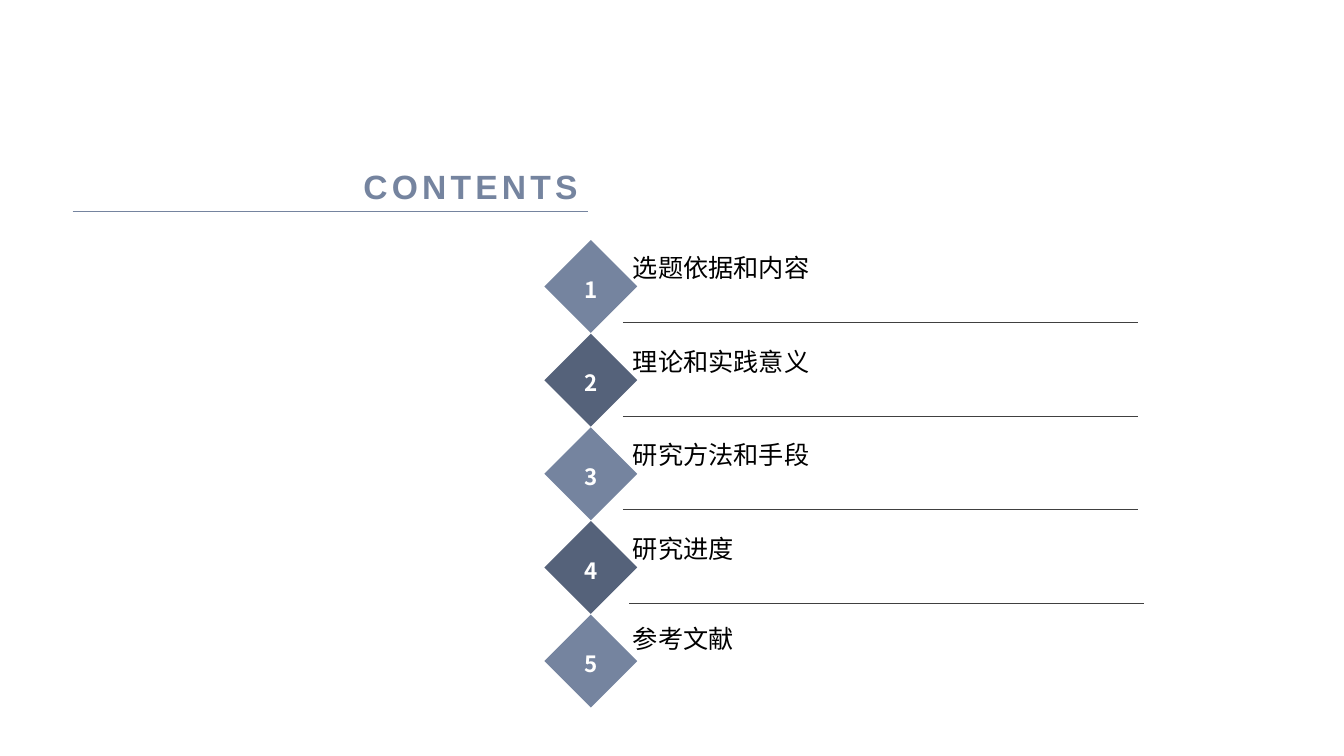
from lxml.etree import SubElement
from pptx import Presentation
from pptx.dml.color import RGBColor
from pptx.enum.shapes import MSO_CONNECTOR, MSO_SHAPE
from pptx.enum.text import MSO_ANCHOR, MSO_AUTO_SIZE, PP_ALIGN
from pptx.oxml.ns import qn
from pptx.util import Cm, Pt

SLATE = RGBColor(0x75, 0x84, 0x9F)
NAVY = RGBColor(0x55, 0x62, 0x7A)
CHARCOAL = RGBColor(0x40, 0x40, 0x40)
BLACK = RGBColor(0, 0, 0)
WHITE = RGBColor(0xFF, 0xFF, 0xFF)

TOPICS = ["选题依据和内容", "理论和实践意义", "研究方法和手段", "研究进度", "参考文献"]
ROW_PITCH = 2.36
DIAMOND_SIZE = 2.34
RULE_LENGTH = 12.97
LABEL_INDENT = 1.98


def write_text(shape, text, size, color, font, bold=False,
               align=PP_ALIGN.LEFT, anchor=MSO_ANCHOR.MIDDLE):
    """Fill a shape with one formatted line and return its span."""
    frame = shape.text_frame
    frame.text = text
    frame.word_wrap = True
    frame.auto_size = MSO_AUTO_SIZE.NONE
    frame.vertical_anchor = anchor
    para = frame.paragraphs[0]
    para.alignment = align
    para.line_spacing = 1.2
    span = para.runs[0]
    span.font.size = Pt(size)
    span.font.bold = bold
    span.font.name = font
    span.font.color.rgb = color
    return span


def add_rule(page, left, top, length, color):
    """Draw a horizontal hairline."""
    rule = page.shapes.add_connector(
        MSO_CONNECTOR.STRAIGHT, Cm(left), Cm(top), Cm(left + length), Cm(top))
    rule.line.color.rgb = color
    rule.line.width = Pt(0.25)
    SubElement(rule._element.spPr, qn("a:effectLst"))


def add_heading(page, left, top, width, height):
    """Place the underlined slide title."""
    title = page.shapes.title
    title.left, title.top = Cm(left), Cm(top)
    title.width, title.height = Cm(width), Cm(height)
    span = write_text(title, "CONTENTS", 24, SLATE, "Arial", True,
                      PP_ALIGN.RIGHT, MSO_ANCHOR.BOTTOM)
    span._r.get_or_add_rPr().set("spc", "300")
    add_rule(page, left, top + height, width, SLATE)


def add_topic(page, left, top, number, topic, label_rise=0.2):
    """Place a numbered diamond with its topic beside it."""
    diamond = page.shapes.add_shape(
        MSO_SHAPE.DIAMOND, Cm(left), Cm(top), Cm(DIAMOND_SIZE), Cm(DIAMOND_SIZE))
    diamond.shadow.inherit = False
    diamond.fill.solid()
    diamond.fill.fore_color.rgb = SLATE if number % 2 else NAVY
    diamond.line.fill.background()
    write_text(diamond, str(number), 16, WHITE, "Noto Sans CJK SC", True,
               PP_ALIGN.CENTER)

    label = page.shapes.add_textbox(
        Cm(left + LABEL_INDENT), Cm(top - label_rise), Cm(15.72), Cm(1.5))
    write_text(label, topic, 18, BLACK, "Arial")
    label.text_frame.margin_bottom = 0


def add_agenda(page, left, top):
    """Stack the topics with a rule between neighbours."""
    last = len(TOPICS)
    for number, topic in enumerate(TOPICS, 1):
        row_top = top + (number - 1) * ROW_PITCH
        add_topic(page, left, row_top, number, topic,
                  0.3 if number == last else 0.2)
        if number < last:
            shift = 0.16 if number == last - 1 else 0
            add_rule(page, left + LABEL_INDENT + shift, row_top + 2.07,
                     RULE_LENGTH, CHARCOAL)


def main():
    """Build and save the contents slide."""
    deck = Presentation()
    deck.slide_width, deck.slide_height = Cm(33.87), Cm(19.05)
    page = deck.slides.add_slide(deck.slide_layouts[5])
    add_heading(page, 1.83, 3.2, 12.98, 2.12)
    add_agenda(page, 13.72, 6.05)
    deck.save("out.pptx")


if __name__ == "__main__":
    main()
